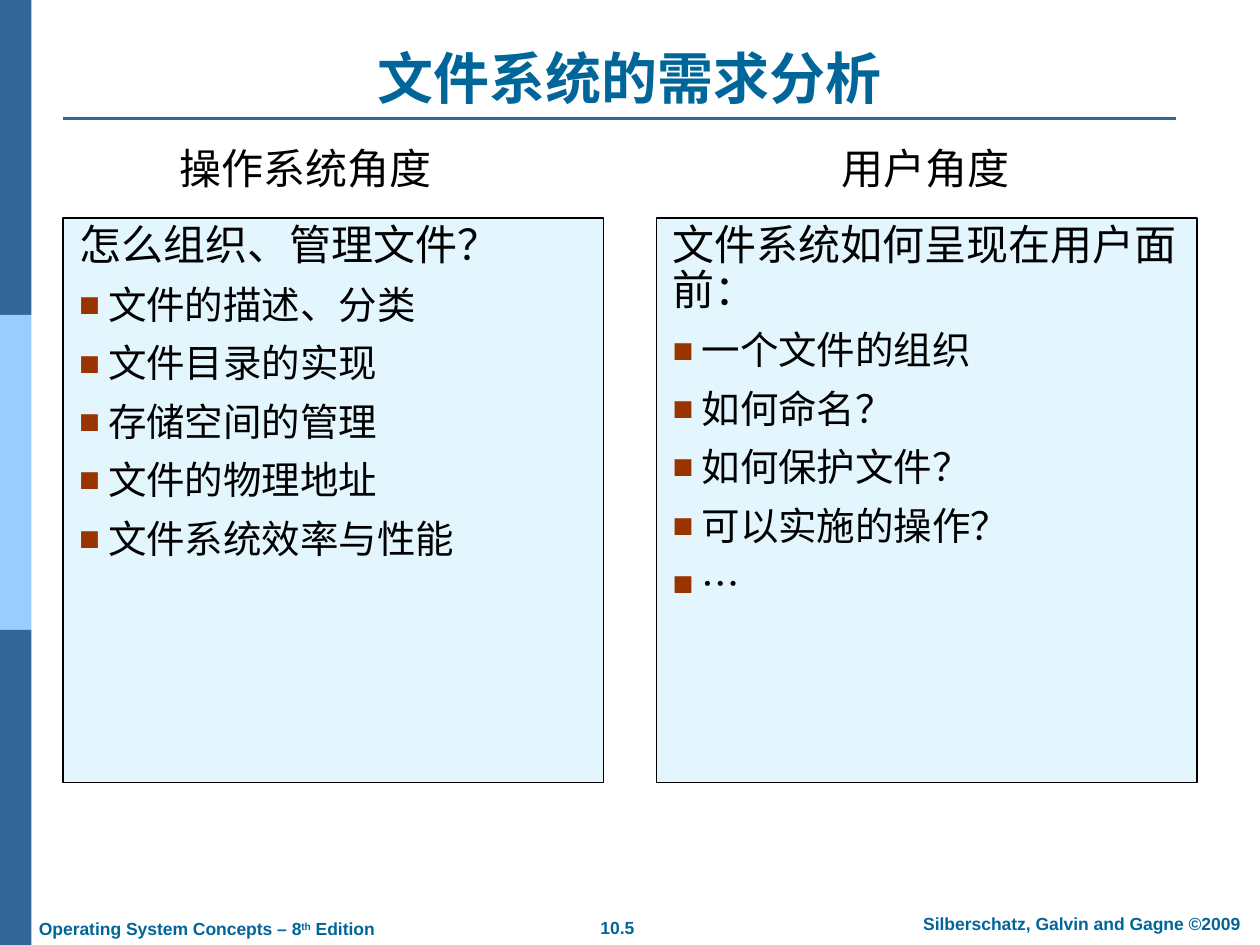
from dataclasses import dataclass

from lxml.etree import SubElement as Sub
from pptx import Presentation
from pptx.dml.color import RGBColor
from pptx.enum.shapes import MSO_CONNECTOR as Link, MSO_SHAPE as Shape
from pptx.enum.text import MSO_ANCHOR as Anchor, PP_ALIGN as Align
from pptx.oxml.ns import qn
from pptx.util import Inches, Pt

HEX = {
    "dark": "336699", "light": "99CCFF", "title": "006699",
    "panel": "00B0F0", "mark": "993300", "ink": "000000",
}
HAN, LATIN = "Noto Sans CJK SC", "Arial"
TOP, WIDE, HIGH = 1.73, 4.29, 4.48


@dataclass
class Column:
    left: float
    head: str
    spot: float  # left edge of the heading
    span: float  # width of the heading
    lead: str
    items: list[str]


COLUMNS = [
    Column(0.5, "操作系统角度", 1.33, 2.2, "怎么组织、管理文件？",
           ["文件的描述、分类", "文件目录的实现", "存储空间的管理",
            "文件的物理地址", "文件系统效率与性能"]),
    Column(5.21, "用户角度", 6.58, 1.53, "文件系统如何呈现在用户面前：",
           ["一个文件的组织", "如何命名？", "如何保护文件？", "可以实施的操作？", "…"]),
]


def tint(name: str) -> RGBColor:
    return RGBColor.from_string(HEX[name])


def rect(slide, left: float, top: float, wide: float, high: float,
         fill: str, alpha: int = 100, edge: str = "") -> None:
    box = slide.shapes.add_shape(Shape.RECTANGLE, Inches(left), Inches(top),
                                 Inches(wide), Inches(high))
    box.shadow.inherit = False
    box.fill.solid()
    box.fill.fore_color.rgb = tint(fill)
    if alpha < 100:
        color = box.fill._xPr.find(qn("a:solidFill"))[0]
        Sub(color, qn("a:alpha"), val=str(alpha * 1000))
    if edge:
        box.line.color.rgb = tint(edge)
        box.line.width = Pt(0.75)
    else:
        box.line.fill.background()


def rule(slide, left: float, right: float, y: float) -> None:
    line = slide.shapes.add_connector(Link.STRAIGHT, Inches(left), Inches(y),
                                      Inches(right), Inches(y))
    line.line.color.rgb = tint("dark")
    line.line.width = Pt(1.5)
    Sub(line._element.spPr, qn("a:effectLst"))


def frame(slide, left: float, top: float, wide: float, high: float,
          wrap: bool = True, anchor=Anchor.TOP):
    body = slide.shapes.add_textbox(Inches(left), Inches(top),
                                    Inches(wide), Inches(high)).text_frame
    body.word_wrap = wrap
    body.vertical_anchor = anchor
    return body


def write(para, text: str, size: float = 24, font: str = HAN, color: str = "ink",
          bold: bool = False, align=Align.LEFT, base: int = 0) -> None:
    para.alignment = align
    run = para.add_run()
    run.text = text
    run.font.size, run.font.bold, run.font.name = Pt(size), bold, font
    run.font.color.rgb = tint(color)
    props = run._r.get_or_add_rPr()
    if font == HAN:
        props.set("lang", "zh-CN")
        Sub(props, qn("a:ea"), typeface=font)
    if base:
        props.set("baseline", str(base * 1000))


def bullet(para) -> None:
    props = para._p.get_or_add_pPr()
    hang = Inches(0.23)
    props.set("marL", str(hang))
    props.set("indent", str(-hang))
    color = Sub(props, qn("a:buClr"))
    Sub(color, qn("a:srgbClr"), val=HEX["mark"])
    Sub(props, qn("a:buSzPct"), val="90000")
    Sub(props, qn("a:buFont"), typeface=LATIN)
    Sub(props, qn("a:buChar"), char="■")


def column(slide, col: Column) -> None:
    body = frame(slide, col.left + 0.03, TOP, WIDE, 4.21)
    para = body.paragraphs[0]
    para.line_spacing = 0.9
    write(para, col.lead)
    for item in col.items:
        para = body.add_paragraph()
        bullet(para)
        para.line_spacing, para.space_before = 0.9, Pt(9.6)
        write(para, item, size=22)
    head = frame(slide, col.spot, 1.08, col.span, 0.5, wrap=False)
    write(head.paragraphs[0], col.head)


def main() -> None:
    deck = Presentation()
    deck.slide_width, deck.slide_height = Inches(10), Inches(7.5)
    slide = deck.slides.add_slide(deck.slide_layouts[6])

    # Side band and title rule
    for i, fill in enumerate(["dark", "light", "dark"]):
        rect(slide, 0, 2.5 * i, 0.25, 2.5, fill)
    rule(slide, 0.5, 9.33, 0.94)

    # Footer
    small = dict(size=10, font=LATIN, color="title", bold=True)
    page = frame(slide, 4.37, 7.23, 1.06, 0.27, wrap=False)
    write(page.paragraphs[0], "10.5", align=Align.CENTER, **small)
    owner = frame(slide, 7.1, 7.2, 2.97, 0.27)
    write(owner.paragraphs[0], "Silberschatz, Galvin and Gagne ©2009",
          align=Align.CENTER, **small)
    book = frame(slide, 0.21, 7.24, 2.95, 0.27).paragraphs[0]
    write(book, "Operating System Concepts – 8", **small)
    write(book, "th", base=30, **small)
    write(book, " Edition", **small)

    # Title
    title = frame(slide, 0.5, 0.3, 9, 0.63, anchor=Anchor.BOTTOM)
    write(title.paragraphs[0], "文件系统的需求分析", size=32, color="title",
          bold=True, align=Align.CENTER)

    # Panels, then the text over them
    for col in COLUMNS:
        rect(slide, col.left, TOP, WIDE, HIGH, "panel", alpha=11, edge="ink")
    for col in COLUMNS:
        column(slide, col)

    deck.save("out.pptx")


if __name__ == "__main__":
    main()
